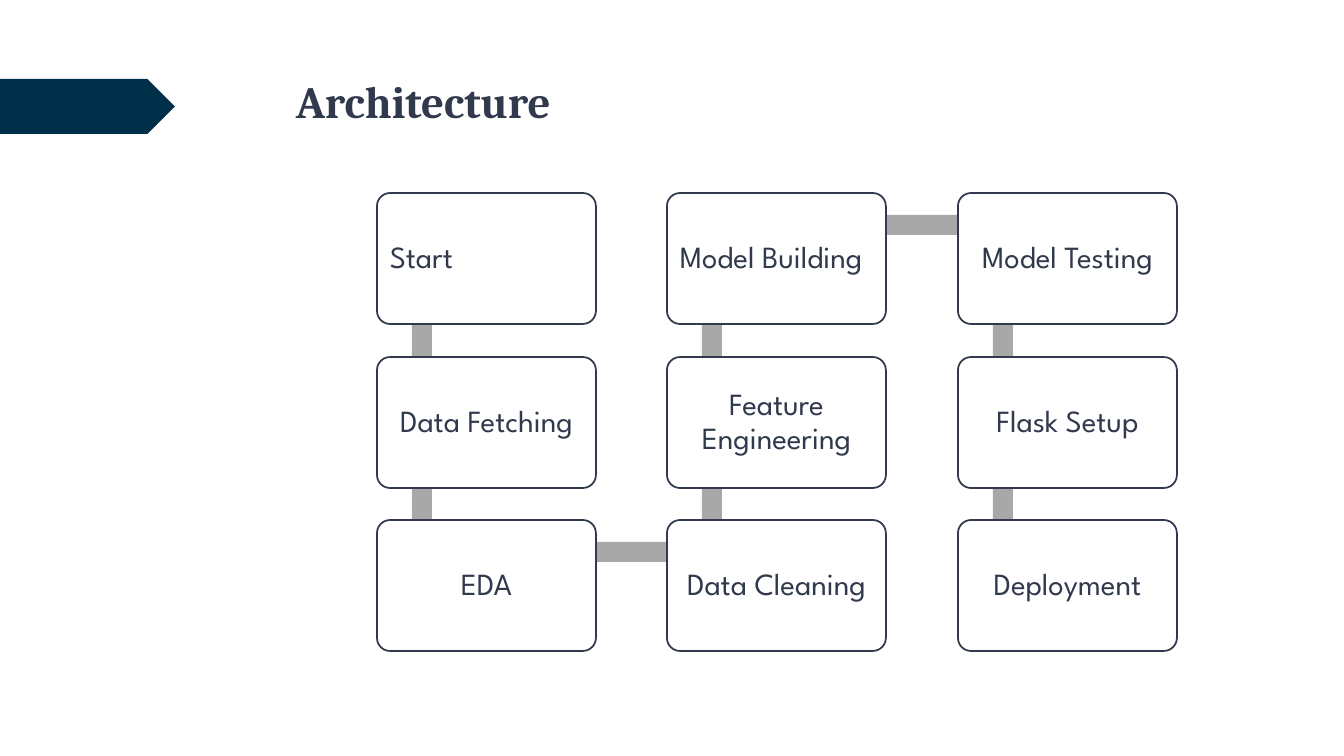
"""Build the Architecture slide: a nine-step pipeline snaking through three columns."""
from itertools import pairwise

from pptx import Presentation
from pptx import util as u
from pptx.dml.color import RGBColor
from pptx.enum import shapes, text

PX = 914400 / 100.8
COLORS = {"navy": "002F4A", "ink": "31394D", "bar": "A8A8A8", "white": "FFFFFF"}


def px(length):
    return u.Emu(round(length * PX))


def add_block(preset, left, top, width, height, fill):
    block = slide.shapes.add_shape(preset, px(left), px(top), px(width), px(height))
    block.shadow.inherit = False
    block.fill.solid()
    block.fill.fore_color.rgb = RGBColor.from_string(COLORS[fill])
    block.line.fill.background()
    return block


prs = Presentation()
prs.slide_width, prs.slide_height = px(1344), px(756)
slide = prs.slides.add_slide(prs.slide_layouts[6])
ink = RGBColor.from_string(COLORS["ink"])

add_block(shapes.MSO_SHAPE.PENTAGON, 0, 79, 175, 55, "navy")

title = slide.shapes.add_textbox(px(286), px(69), px(983), px(141)).text_frame
title.word_wrap = True
heading = title.paragraphs[0]
heading.text = "Architecture"
heading.font.name, heading.font.size, heading.font.bold = "Cambria", u.Pt(32), True
heading.font.color.rgb = ink

COLUMNS, ROWS = (377, 667, 958), (193, 357, 520)
BOX_W, BOX_H = 219, 131
BAR, ANCHOR_X, ANCHOR_Y = 20, 45, 32
left, center = text.PP_ALIGN.LEFT, text.PP_ALIGN.CENTER
steps = [
    ("Start", 0, 0, left),
    ("Data Fetching", 0, 1, center),
    ("EDA", 0, 2, center),
    ("Data Cleaning", 1, 2, center),
    ("Feature Engineering", 1, 1, center),
    ("Model Building", 1, 0, left),
    ("Model Testing", 2, 0, center),
    ("Flask Setup", 2, 1, center),
    ("Deployment", 2, 2, center),
]

anchors = [(COLUMNS[col] + ANCHOR_X, ROWS[row] + ANCHOR_Y) for _, col, row, _ in steps]
for (x1, y1), (x2, y2) in pairwise(anchors):
    add_block(shapes.MSO_SHAPE.RECTANGLE, min(x1, x2) - BAR // 2, min(y1, y2) - BAR // 2,
              max(abs(x2 - x1), BAR), max(abs(y2 - y1), BAR), "bar")

for name, col, row, align in steps:
    step = add_block(shapes.MSO_SHAPE.ROUNDED_RECTANGLE, COLUMNS[col], ROWS[row],
                     BOX_W, BOX_H, "white")
    step.adjustments[0] = 0.1
    step.line.color.rgb = ink
    step.line.width = u.Pt(1.25)
    frame = step.text_frame
    frame.word_wrap = True
    frame.vertical_anchor = text.MSO_ANCHOR.MIDDLE
    frame.margin_left = frame.margin_right = frame.margin_top = frame.margin_bottom = px(9)
    label = frame.paragraphs[0]
    label.text = name
    label.alignment = align
    label.line_spacing = 0.9
    label.font.name, label.font.size = "League Spartan", u.Pt(22)
    label.font.color.rgb = ink

prs.save("out.pptx")
